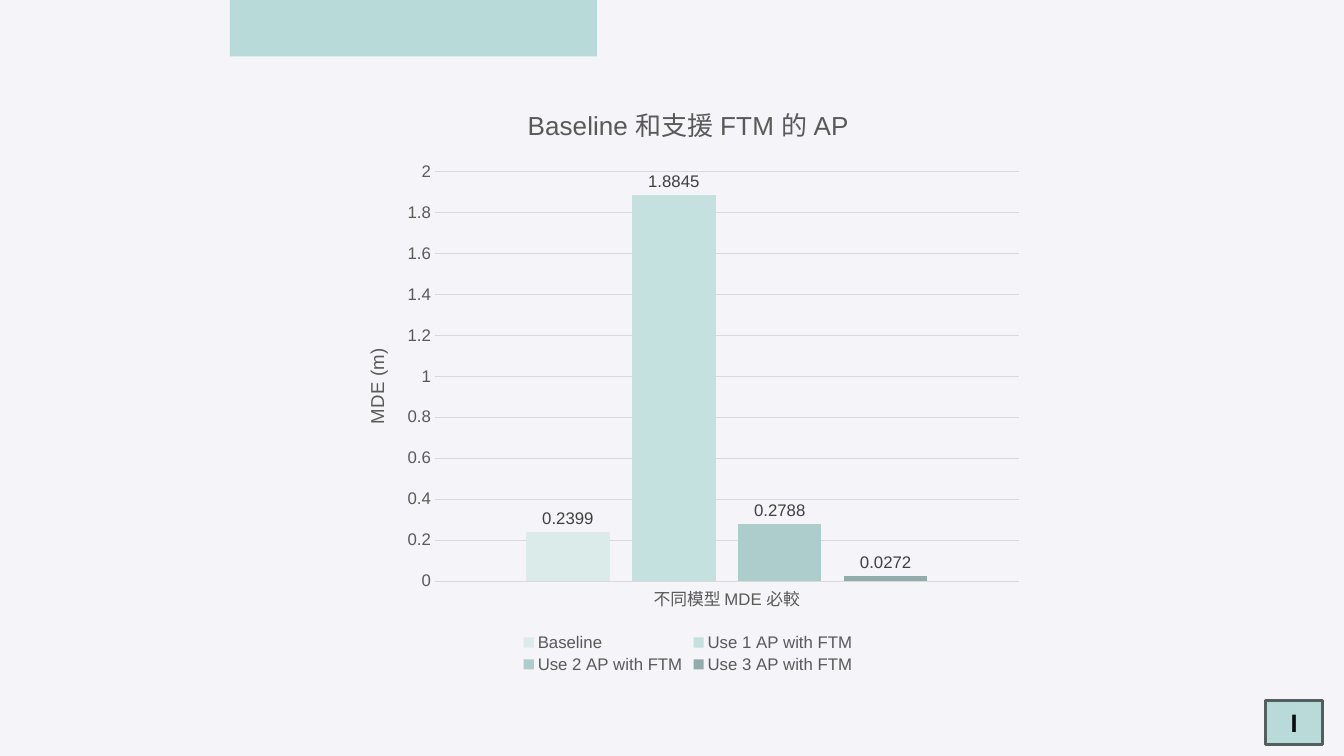
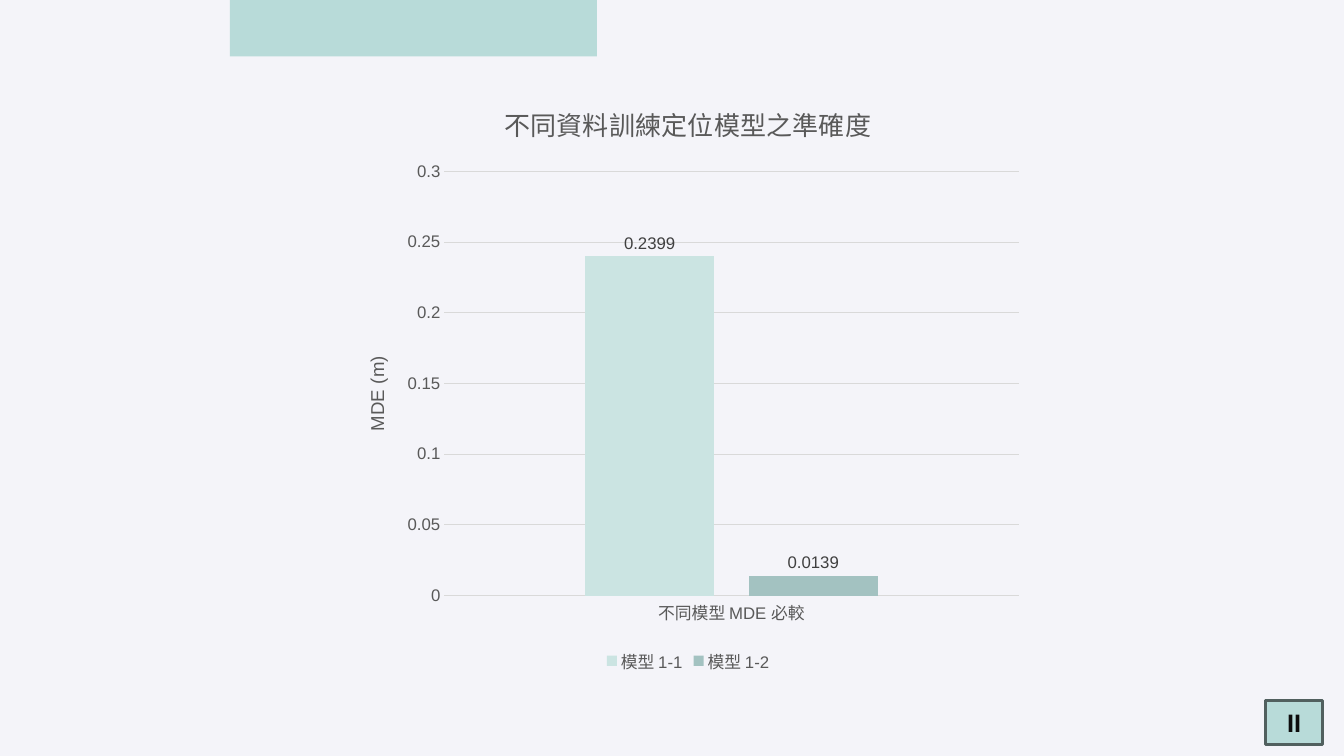
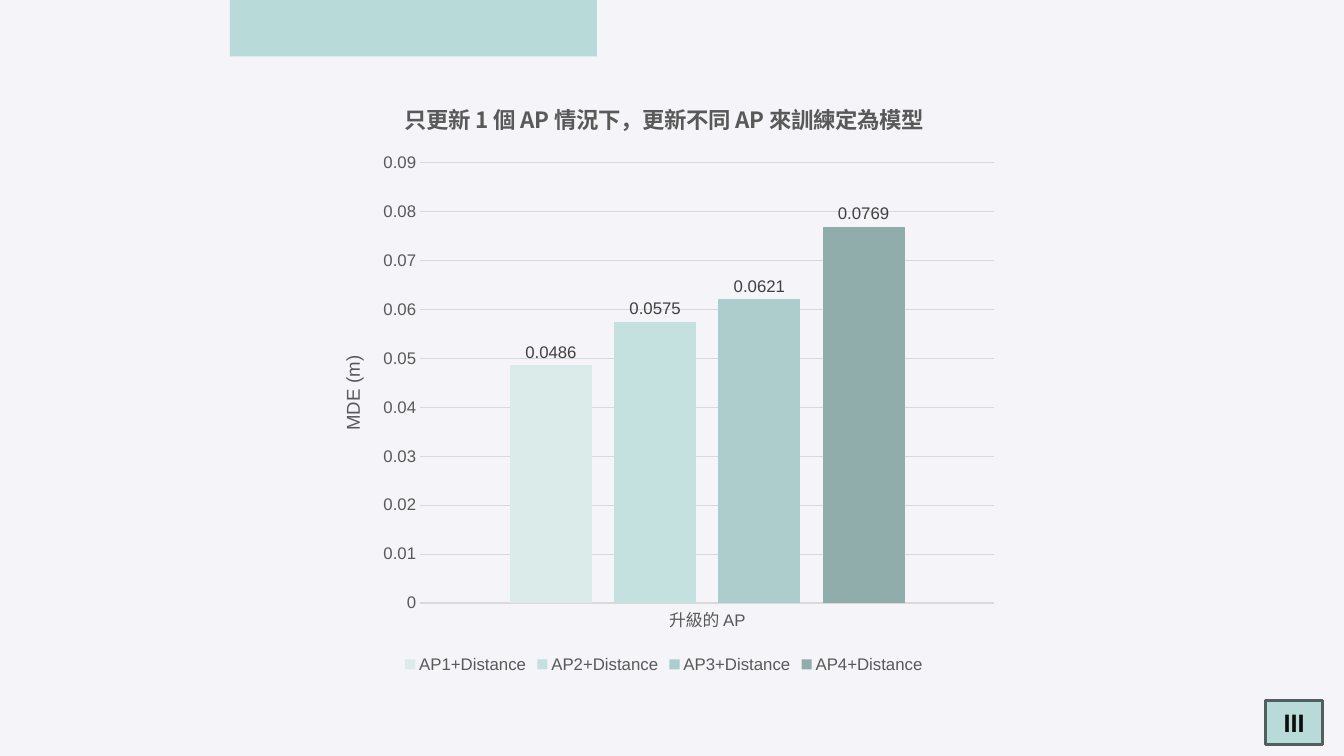
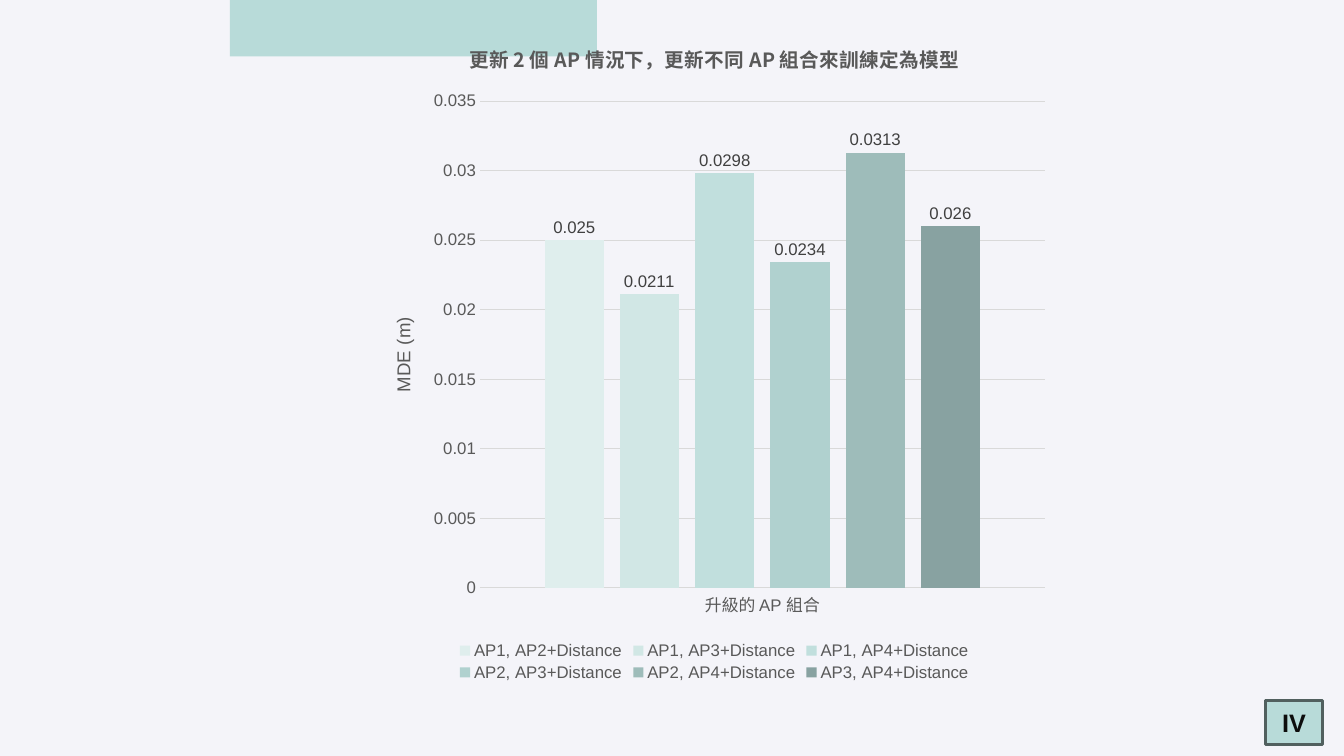
from lxml import etree
from pptx import Presentation
from pptx.chart.data import CategoryChartData
from pptx.dml.color import RGBColor
from pptx.enum.chart import XL_CHART_TYPE as CT, XL_LABEL_POSITION as LP
from pptx.enum.chart import XL_LEGEND_POSITION as LEG, XL_TICK_MARK as TICK
from pptx.enum.shapes import MSO_SHAPE as SHAPE
from pptx.enum.text import MSO_ANCHOR as ANCHOR, PP_ALIGN as ALIGN
from pptx.oxml.ns import qn
from pptx.util import Inches, Pt

COLORS = {
    "bg": "F4F4F9", "mint": "B8DBD9", "border": "51605F", "ink": "0D0D0D",
    "text": "595959", "label": "404040", "grid": "D9D9D9",
}
SHADES = {
    2: ["CBE4E2", "A3C2C1"],
    4: ["DAEBEA", "C4E0DF", "ACCDCB", "91ADAB"],
    6: ["DFEEED", "D1E7E5", "C1DFDD", "B0D1CF", "9EBCBA", "88A2A1"],
}
LATIN, CJK = "Arial", "Noto Sans CJK SC"


def rgb(name):
    return RGBColor.from_string(COLORS.get(name, name))


class Deck:
    def __init__(self):
        self.prs = Presentation()
        self.prs.slide_width = Inches(13.33)
        self.prs.slide_height = Inches(7.5)
        self.slide = None

    def new_slide(self, numeral):
        self.slide = self.prs.slides.add_slide(self.prs.slide_layouts[6])
        fill = self.slide.background.fill
        fill.solid()
        fill.fore_color.rgb = rgb("bg")
        self.rect(2.28, -0.95, 3.64, 1.51)
        self.badge(numeral)

    def rect(self, x, y, w, h, line=None):
        sp = self.slide.shapes.add_shape(
            SHAPE.RECTANGLE, Inches(x), Inches(y), Inches(w), Inches(h))
        sp.shadow.inherit = False
        sp.fill.solid()
        sp.fill.fore_color.rgb = rgb("mint")
        if line:
            sp.line.color.rgb = rgb(line)
            sp.line.width = Pt(2)
        else:
            sp.line.fill.background()
        return sp

    def badge(self, numeral):
        tf = self.rect(12.55, 6.95, 0.57, 0.44, "border").text_frame
        tf.vertical_anchor = ANCHOR.MIDDLE
        p = tf.paragraphs[0]
        p.alignment = ALIGN.CENTER
        self.run(p, numeral, 18, "ink", bold=True)

    def font(self, font, size, color, bold=False, name=LATIN):
        font.name = name
        font.size = Pt(size)
        font.bold = bold
        font.color.rgb = rgb(color)

    def run(self, p, text, size, color, bold=False, name=LATIN):
        r = p.add_run()
        r.text = text
        self.font(r.font, size, color, bold, name)
        if name == CJK:
            ea = etree.SubElement(r._r.get_or_add_rPr(), qn("a:ea"))
            ea.set("typeface", name)

    def chart(self, box, title, category, series, top, step,
              size=18.6, bold=False, name=LATIN):
        data = CategoryChartData()
        data.categories = [category]
        for label, value in series:
            data.add_series(label, [value])
        frame = self.slide.shapes.add_chart(
            CT.COLUMN_CLUSTERED, *map(Inches, box), data)
        chart = frame.chart
        self.font(chart.font, 10, "000000")
        chart.has_title = True
        p = chart.chart_title.text_frame.paragraphs[0]
        self.run(p, title, size, "text", bold, name)
        chart.chart_title.include_in_layout = False
        self.legend(chart)
        self.axes(chart, top, step)
        self.columns(chart.plots[0])

    def legend(self, chart):
        chart.has_legend = True
        chart.legend.position = LEG.BOTTOM
        chart.legend.include_in_layout = False
        self.font(chart.legend.font, 12, "text")

    def axes(self, chart, top, step):
        cat, val = chart.category_axis, chart.value_axis
        for axis in (cat, val):
            axis.major_tick_mark = axis.minor_tick_mark = TICK.NONE
            self.font(axis.tick_labels.font, 12, "text")
        val.minimum_scale, val.maximum_scale, val.major_unit = 0, top, step
        val.format.line.fill.background()
        val.has_major_gridlines = True
        for line in (cat.format.line, val.major_gridlines.format.line):
            line.color.rgb = rgb("grid")
            line.width = Pt(0.75)
        tf = val.axis_title.text_frame
        body = tf._txBody.find(qn("a:bodyPr"))
        body.set("rot", "-5400000")
        body.set("vert", "horz")
        self.run(tf.paragraphs[0], "MDE (m)", 13.3, "text")

    def columns(self, plot):
        plot.gap_width = 219
        plot.overlap = -27
        plot.vary_by_categories = False
        for ser, shade in zip(plot.series, SHADES[len(plot.series)]):
            ser.format.fill.solid()
            ser.format.fill.fore_color.rgb = rgb(shade)
            labels = ser.data_labels
            labels.show_value = True
            labels.position = LP.OUTSIDE_END
            self.font(labels.font, 12, "label")


def main():
    deck = Deck()
    box = (3.41, 0.79, 6.83, 5.93)

    deck.new_slide("I")
    deck.chart(box, "Baseline 和支援 FTM 的 AP", "不同模型 MDE 必較", [
        ("Baseline", 0.2399),
        ("Use 1 AP with FTM", 1.8845),
        ("Use 2 AP with FTM", 0.2788),
        ("Use 3 AP with FTM", 0.0272),
    ], 2, 0.2)

    deck.new_slide("II")
    deck.chart(box, "不同資料訓練定位模型之準確度", "不同模型 MDE 必較", [
        ("模型 1-1", 0.2399),
        ("模型 1-2", 0.0139),
    ], 0.3, 0.05)

    deck.new_slide("III")
    deck.chart((3.17, 0.79, 6.83, 5.93),
               "只更新 1 個 AP 情況下，更新不同 AP 來訓練定為模型", "升級的 AP", [
        ("AP1+Distance", 0.0486),
        ("AP2+Distance", 0.0575),
        ("AP3+Distance", 0.0621),
        ("AP4+Distance", 0.0769),
    ], 0.09, 0.01, 16, True, CJK)

    deck.new_slide("IV")
    deck.chart((3.67, 0.2, 6.83, 6.6),
               "更新 2 個 AP 情況下，更新不同 AP 組合來訓練定為模型", "升級的 AP 組合", [
        ("AP1, AP2+Distance", 0.025),
        ("AP1, AP3+Distance", 0.0211),
        ("AP1, AP4+Distance", 0.0298),
        ("AP2, AP3+Distance", 0.0234),
        ("AP2, AP4+Distance", 0.0313),
        ("AP3, AP4+Distance", 0.026),
    ], 0.035, 0.005, 14, True, CJK)

    deck.prs.save("out.pptx")


if __name__ == "__main__":
    main()
